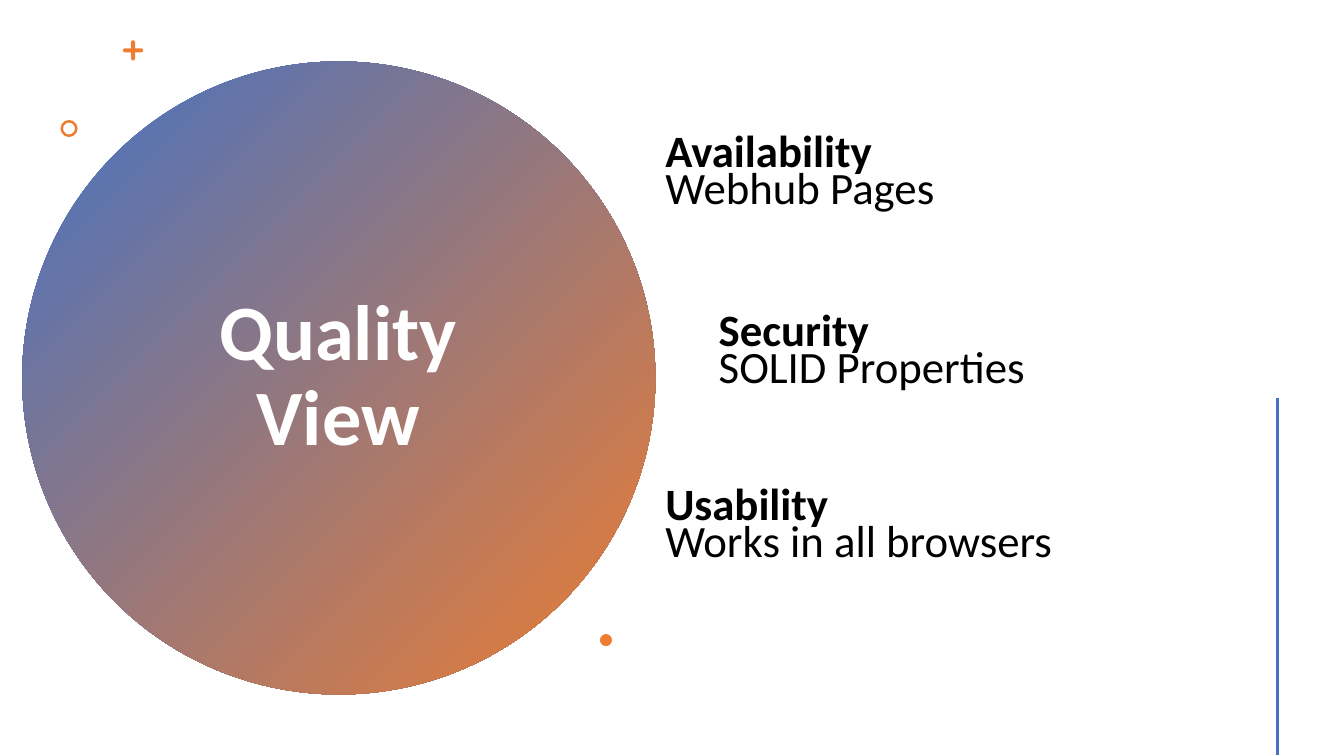
import math
import pptx
import pptx.util
import pptx.dml.color
import pptx.enum.shapes
import pptx.enum.text
import pptx.oxml.ns
import lxml.etree

Inches = pptx.util.Inches
SHAPE = pptx.enum.shapes.MSO_SHAPE
FIT = pptx.enum.text.MSO_AUTO_SIZE
BLUE = "4472C4"
ORANGE = "ED7D31"


def hue(code):
    return pptx.dml.color.RGBColor.from_string(code)


def paint(shape, code):
    shape.fill.solid()
    shape.fill.fore_color.rgb = hue(code)
    shape.line.fill.background()
    shape.shadow.inherit = False


def add_run(para, text, size, code, bold):
    run = para.add_run()
    run.text = text
    run.font.name = "Calibri"
    run.font.size = pptx.util.Pt(size)
    run.font.bold = bold
    run.font.color.rgb = hue(code)


def add_round(slide, kind, left, top, size):
    shape = slide.shapes.add_shape(
        kind, Inches(left), Inches(top), Inches(size), Inches(size))
    paint(shape, ORANGE)
    return shape


def add_disc(slide):
    disc = add_round(slide, SHAPE.OVAL, 0.22, 0.61, 6.28)
    disc.fill.gradient()
    disc.fill.gradient_angle = 315
    for stop, code, place in zip(disc.fill.gradient_stops, (BLUE, ORANGE), (0, 1)):
        stop.color.rgb = hue(code)
        stop.position = place
    slide.shapes.title._element.addprevious(disc._element)


def set_title(slide, text):
    title = slide.shapes.title
    title.left, title.top = Inches(1.36), Inches(1.41)
    title.width, title.height = Inches(3.99), Inches(4.67)
    frame = title.text_frame
    frame.word_wrap = True
    frame.auto_size = FIT.NONE
    frame.vertical_anchor = pptx.enum.text.MSO_ANCHOR.MIDDLE
    para = frame.paragraphs[0]
    para.alignment = pptx.enum.text.PP_ALIGN.CENTER
    para.line_spacing = 0.9
    add_run(para, text, 56, "FFFFFF", True)


def add_plus(slide, mid_x, mid_y, reach, half):
    def point(x, y, size, angle):
        turn = math.radians(angle)
        return x + size * math.cos(turn), y + size * math.sin(turn)

    points = []
    for arm in range(0, 360, 90):
        tip = point(mid_x, mid_y, reach - half, arm)
        points += [point(*tip, half, arm + turn) for turn in range(-90, 91, 30)]
        points.append(point(mid_x, mid_y, half * math.sqrt(2), arm + 45))
    points = [(Inches(x), Inches(y)) for x, y in points]
    build = slide.shapes.build_freeform(*points[0])
    build.add_line_segments(points[1:], close=True)
    paint(build.convert_to_shape(), ORANGE)


def add_rule(slide, x, top, end):
    rule = slide.shapes.add_connector(
        pptx.enum.shapes.MSO_CONNECTOR.STRAIGHT,
        Inches(x), Inches(top), Inches(x), Inches(end))
    rule.line.color.rgb = hue(BLUE)
    rule.line.width = pptx.util.Pt(2)
    lxml.etree.SubElement(rule._element.spPr, pptx.oxml.ns.qn("a:effectLst"))


def add_label(slide, text, left, top, width, bold):
    box = slide.shapes.add_textbox(
        Inches(left), Inches(top), Inches(width), Inches(0.64))
    frame = box.text_frame
    frame.word_wrap = True
    frame.auto_size = FIT.SHAPE_TO_FIT_TEXT
    add_run(frame.paragraphs[0], text, 32, "000000", bold)


def main():
    deck = pptx.Presentation()
    deck.slide_width, deck.slide_height = Inches(13.33), Inches(7.5)
    slide = deck.slides.add_slide(deck.slide_layouts[5])
    set_title(slide, "Quality View")
    add_disc(slide)
    add_plus(slide, 1.32, 0.5, 0.1, 0.02)
    ring = add_round(slide, SHAPE.DONUT, 0.6, 1.19, 0.17)
    ring.adjustments[0] = 0.15
    add_round(slide, SHAPE.OVAL, 5.95, 6.29, 0.12)
    add_rule(slide, 12.67, 3.95, 7.49)
    traits = [
        ("Availability", "Webhub Pages", 6.5, 1.17, 3.87),
        ("Security", "SOLID Properties", 7.03, 2.94, 3.87),
        ("Usability", "Works in all browsers", 6.5, 4.67, 4.14),
    ]
    for name, detail, left, top, width in traits:
        add_label(slide, name, left, top, 3.87, True)
        add_label(slide, detail, left, top + 0.37, width, False)
    deck.save("out.pptx")


if __name__ == "__main__":
    main()
